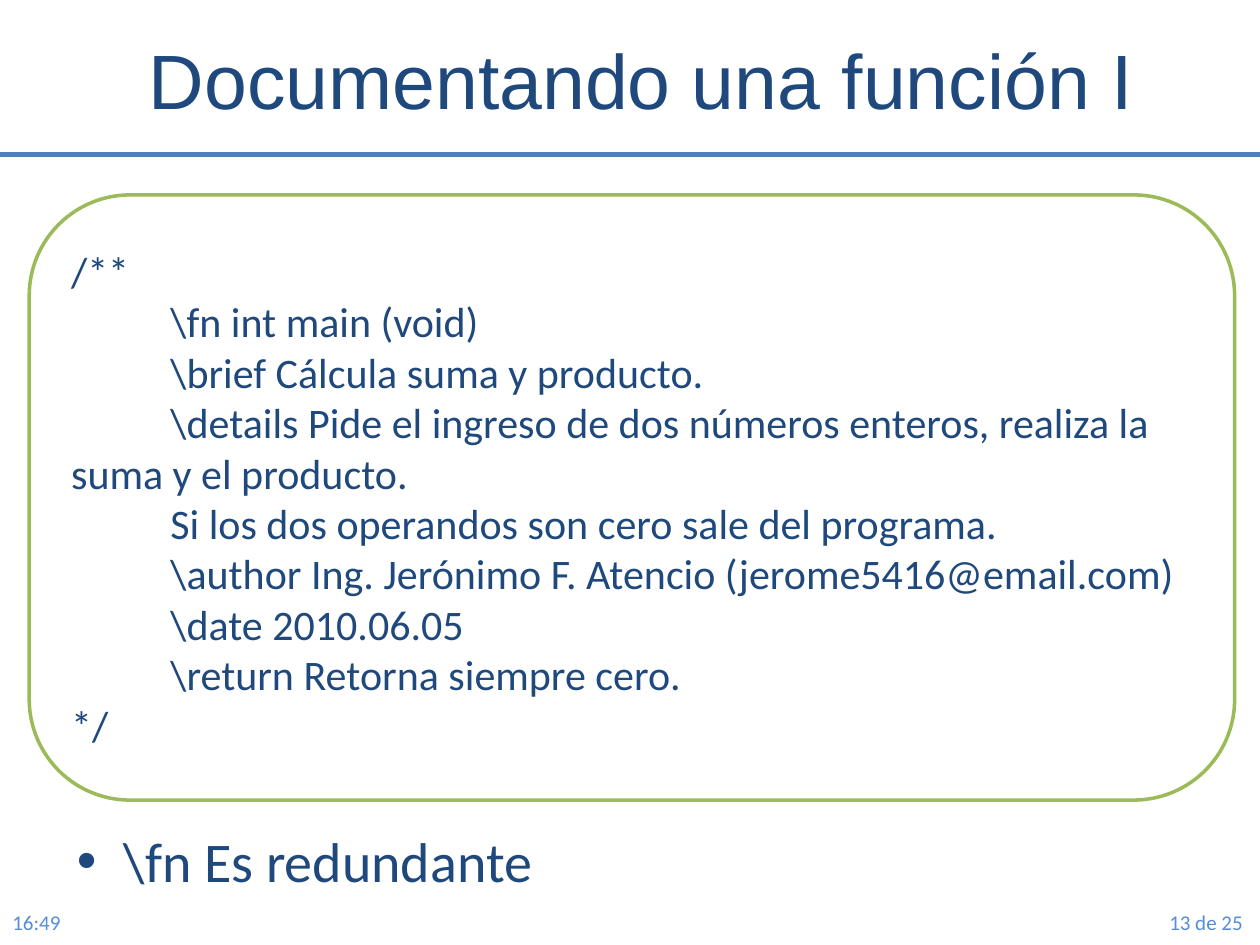
from lxml import etree
from pptx import Presentation
from pptx.dml.color import RGBColor
from pptx.enum.shapes import MSO_CONNECTOR, MSO_SHAPE
from pptx.enum.text import MSO_ANCHOR, MSO_AUTO_SIZE, PP_ALIGN
from pptx.oxml.ns import qn
from pptx.util import Cm, Pt

NAVY = RGBColor(0x1F, 0x49, 0x7D)
BLUE = RGBColor(0x4F, 0x81, 0xBD)
SKY = RGBColor(0x55, 0x8E, 0xD5)
GREEN = RGBColor(0x9B, 0xBB, 0x59)
WHITE = RGBColor(0xFF, 0xFF, 0xFF)

LEFT, CENTER, RIGHT = PP_ALIGN.LEFT, PP_ALIGN.CENTER, PP_ALIGN.RIGHT
TOP, MIDDLE = MSO_ANCHOR.TOP, MSO_ANCHOR.MIDDLE
NO_FIT = MSO_AUTO_SIZE.NONE
STRAIGHT = MSO_CONNECTOR.STRAIGHT
ROUND = MSO_SHAPE.ROUNDED_RECTANGLE

WIDTH, HEIGHT = Cm(25.4), Cm(19.05)
TAB = Cm(2)
INDENT = Cm(0.94)

CODE = r"""/**
	\fn int main (void)
	\brief Cálcula suma y producto.
	\details Pide el ingreso de dos números enteros, realiza la suma y el producto.
	Si los dos operandos son cero sale del programa.
	\author Ing. Jerónimo F. Atencio (jerome5416@email.com)
	\date 2010.06.05
	\return Retorna siempre cero.
*/"""


def place(shape, left, top, width, height):
    shape.left, shape.top = Cm(left), Cm(top)
    shape.width, shape.height = Cm(width), Cm(height)


def write(shape, text, size, color=NAVY, font="Calibri", align=LEFT,
          anchor=MIDDLE):
    frame = shape.text_frame
    frame.word_wrap = True
    frame.auto_size = NO_FIT
    frame.vertical_anchor = anchor
    frame.text = text
    for para in frame.paragraphs:
        para.alignment = align
        for run in para.runs:
            run.font.size = Pt(size)
            run.font.name = font
            run.font.color.rgb = color


def add_text(slide, box, text, size, **style):
    shape = slide.shapes.add_textbox(*map(Cm, box))
    write(shape, text, size, **style)
    return shape


def add_rule(slide, top):
    rule = slide.shapes.add_connector(STRAIGHT, 0, Cm(top), WIDTH, Cm(top))
    rule.line.color.rgb = BLUE
    rule.line.width = Pt(3)
    etree.SubElement(rule._element.spPr, qn("a:effectLst"))


def add_code(slide, box, text):
    shape = slide.shapes.add_shape(ROUND, *map(Cm, box))
    shape.shadow.inherit = False
    shape.fill.solid()
    shape.fill.fore_color.rgb = WHITE
    shape.line.color.rgb = GREEN
    shape.line.width = Pt(2)
    write(shape, text, 24)
    # One tab stop sets the code indent
    for para in shape.text_frame.paragraphs:
        stops = etree.SubElement(para._p.get_or_add_pPr(), qn("a:tabLst"))
        etree.SubElement(stops, qn("a:tab"), pos=str(TAB), algn="l")


def add_bullet(slide, box, text):
    shape = add_text(slide, box, text, 32, anchor=TOP)
    para = shape.text_frame.paragraphs[0]
    para.space_before = Pt(8)
    props = para._p.get_or_add_pPr()
    props.set("marL", str(INDENT))
    props.set("indent", str(-INDENT))
    etree.SubElement(props, qn("a:buFont"), typeface="Arial")
    etree.SubElement(props, qn("a:buChar"), char="•")


def main():
    deck = Presentation()
    deck.slide_width, deck.slide_height = WIDTH, HEIGHT
    slide = deck.slides.add_slide(deck.slide_layouts[5])

    # Heading
    title = slide.shapes.title
    place(title, 1.5, 0, 22.86, 3.18)
    write(title, "Documentando una función I", 44, font="Arial", align=CENTER)
    add_rule(slide, 3.12)

    # Footer
    add_text(slide, (0, 18.14, 2.1, 0.91), "16:49", 12, color=SKY)
    add_text(slide, (22.9, 18.14, 2.5, 0.91), "13 de 25 ", 12, color=SKY,
             align=RIGHT)

    # Remark and code panel
    add_bullet(slide, (1.3, 16.54, 22.86, 1.3), r"\fn Es redundante")
    add_code(slide, (0.59, 3.93, 24.3, 12.2), CODE)

    deck.save("out.pptx")


if __name__ == "__main__":
    main()
